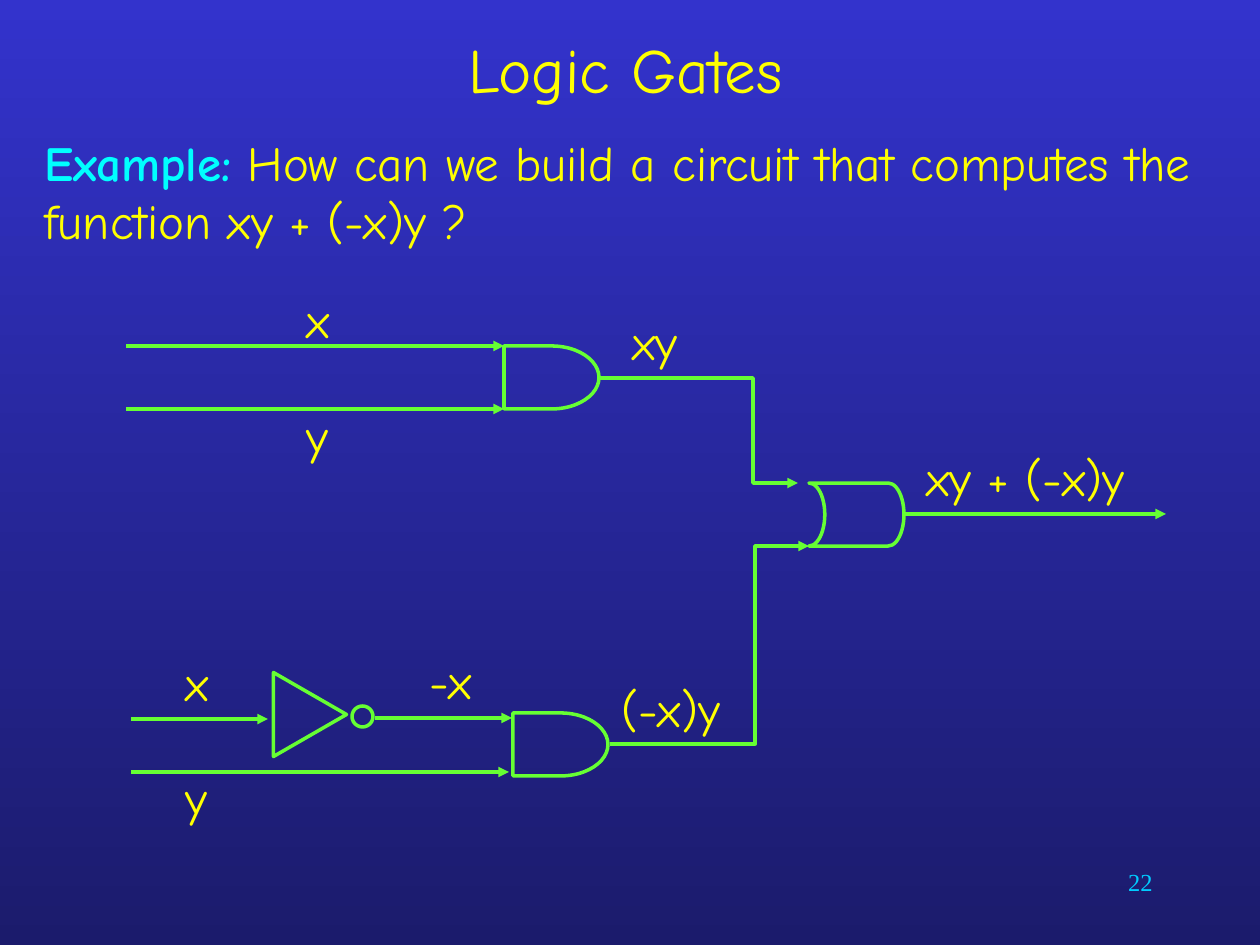
from dataclasses import dataclass
from lxml.etree import SubElement
from pptx import Presentation
from pptx.dml.color import RGBColor
from pptx.enum.shapes import MSO_CONNECTOR, MSO_SHAPE
from pptx.enum.text import MSO_ANCHOR, PP_ALIGN
from pptx.oxml.ns import qn
from pptx.slide import Slide
from pptx.util import Emu, Pt

SCALE = 914400 / 126  # EMU in one px


@dataclass(frozen=True)
class Theme:
    top: str = "3333CC"
    base: str = "1B1B6C"
    text: str = "FFFF00"
    lead: str = "00FFFF"
    page: str = "00CCFF"
    wire: str = "66FF33"
    font: str = "Comic Neue"
    serif: str = "Times New Roman"
    head: int = 36
    body: int = 28
    small: int = 14
    line: int = 2


THEME = Theme()


@dataclass(frozen=True)
class Run:
    text: str
    color: str = THEME.text
    size: int = THEME.body
    font: str = THEME.font
    bold: bool = False


@dataclass(frozen=True)
class Label:
    x: int
    y: int
    w: int
    h: int
    runs: tuple[Run, ...]
    align: PP_ALIGN = PP_ALIGN.LEFT
    anchor: MSO_ANCHOR = MSO_ANCHOR.TOP


@dataclass(frozen=True)
class Gate:
    kind: MSO_SHAPE
    x: int
    y: int
    w: int = 95
    h: int = 63
    turn: int = 0


@dataclass(frozen=True)
class Wire:
    x1: int
    y1: int
    x2: int
    y2: int
    bend: int = 0  # x of the upright part, 0 for a straight wire


def px(n: int) -> Emu:
    return Emu(round(n * SCALE))


def rgb(code: str) -> RGBColor:
    return RGBColor.from_string(code)


def add_label(slide: Slide, item: Label) -> None:
    box = slide.shapes.add_textbox(px(item.x), px(item.y), px(item.w), px(item.h))
    frame = box.text_frame
    frame.word_wrap = True
    frame.vertical_anchor = item.anchor
    para = frame.paragraphs[0]
    para.alignment = item.align
    for part in item.runs:
        run = para.add_run()
        run.text = part.text
        run.font.name = part.font
        run.font.size = Pt(part.size)
        run.font.bold = part.bold
        run.font.color.rgb = rgb(part.color)


def add_gate(slide: Slide, item: Gate) -> None:
    shape = slide.shapes.add_shape(item.kind, px(item.x), px(item.y), px(item.w), px(item.h))
    shape.rotation = item.turn
    shape.shadow.inherit = False
    shape.fill.background()
    shape.line.color.rgb = rgb(THEME.wire)
    shape.line.width = Pt(THEME.line)


def add_wire(slide: Slide, item: Wire) -> None:
    kind = MSO_CONNECTOR.ELBOW if item.bend else MSO_CONNECTOR.STRAIGHT
    link = slide.shapes.add_connector(kind, px(item.x1), px(item.y1), px(item.x2), px(item.y2))
    link.line.color.rgb = rgb(THEME.wire)
    link.line.width = Pt(THEME.line)
    props = link._element.spPr
    SubElement(props.find(qn("a:ln")), qn("a:tailEnd"), type="triangle")
    SubElement(props, qn("a:effectLst"))
    if item.bend:
        part = round((item.bend - item.x1) / (item.x2 - item.x1) * 100000)
        guides = props.find(qn("a:prstGeom")).find(qn("a:avLst"))
        SubElement(guides, qn("a:gd"), name="adj1", fmla=f"val {part}")


def paint(slide: Slide) -> None:
    fill = slide.background.fill
    fill.gradient()
    fill.gradient_angle = 270
    for stop, code in zip(fill.gradient_stops, (THEME.top, THEME.base)):
        stop.color.rgb = rgb(code)


def tag(text: str, x: int, y: int, w: int = 53) -> Label:
    return Label(x, y, w, 72, (Run(text),))


# Title, question and page number
TEXTS = (
    Label(903, 861, 262, 63, (Run("22", THEME.page, THEME.small, THEME.serif),), PP_ALIGN.RIGHT),
    Label(32, 0, 1187, 136, (Run("Logic Gates", size=THEME.head),),
          PP_ALIGN.CENTER, MSO_ANCHOR.MIDDLE),
    Label(32, 126, 1197, 136, (
        Run("Example:", THEME.lead, bold=True),
        Run(" How can we build a circuit that computes the function xy + (-x)y ?"),
    )),
)

# Signal names
TAGS = (
    tag("xy + (-x)y", 914, 441, 252),
    tag("x", 294, 283),
    tag("y", 294, 399),
    tag("xy", 620, 305, 116),
    tag("x", 173, 646),
    tag("-x", 417, 644, 113),
    tag("y", 173, 761),
    tag("(-x)y", 609, 672, 164),
)

# OR, both ANDs, and NOT with its ring
GATES = (
    Gate(MSO_SHAPE.FLOWCHART_STORED_DATA, 809, 483, turn=180),
    Gate(MSO_SHAPE.FLOWCHART_DELAY, 504, 346),
    Gate(MSO_SHAPE.FLOWCHART_DELAY, 513, 713),
    Gate(MSO_SHAPE.ISOSCELES_TRIANGLE, 268, 678, 84, 73, 90),
    Gate(MSO_SHAPE.FLOWCHART_CONNECTOR, 352, 706, 21, 21),
)

WIRES = (
    Wire(904, 514, 1166, 514),
    Wire(126, 346, 504, 346),
    Wire(126, 409, 504, 409),
    Wire(131, 719, 268, 719),
    Wire(375, 718, 512, 718),
    Wire(131, 772, 509, 772),
    Wire(600, 378, 798, 483, 753),
    Wire(610, 744, 809, 546, 755),
)


def main() -> None:
    deck = Presentation()
    deck.slide_width, deck.slide_height = px(1260), px(945)
    slide = deck.slides.add_slide(deck.slide_layouts[6])
    paint(slide)
    for gate in GATES:
        add_gate(slide, gate)
    for wire in WIRES:
        add_wire(slide, wire)
    for label in TEXTS + TAGS:
        add_label(slide, label)
    deck.save("out.pptx")


if __name__ == "__main__":
    main()
